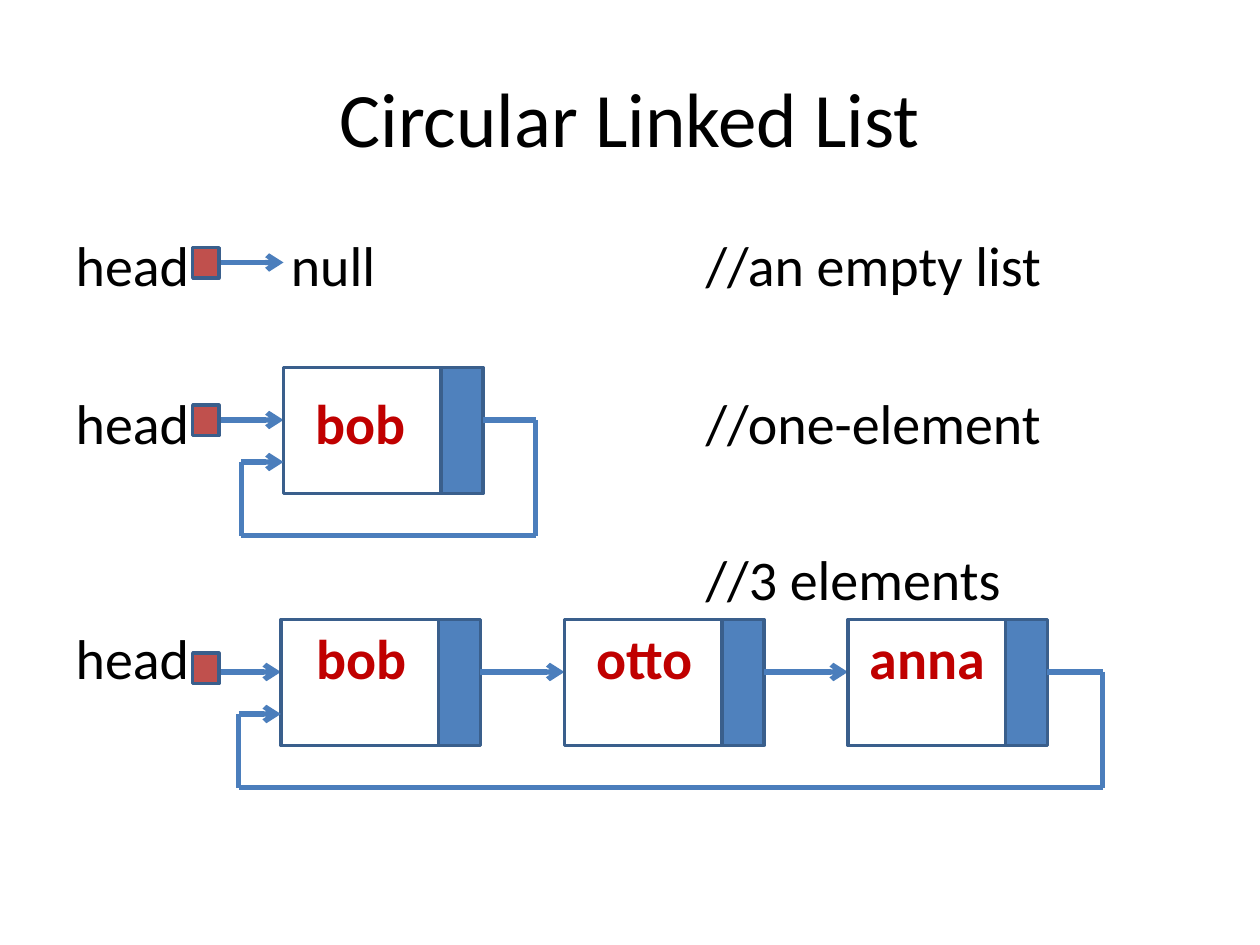
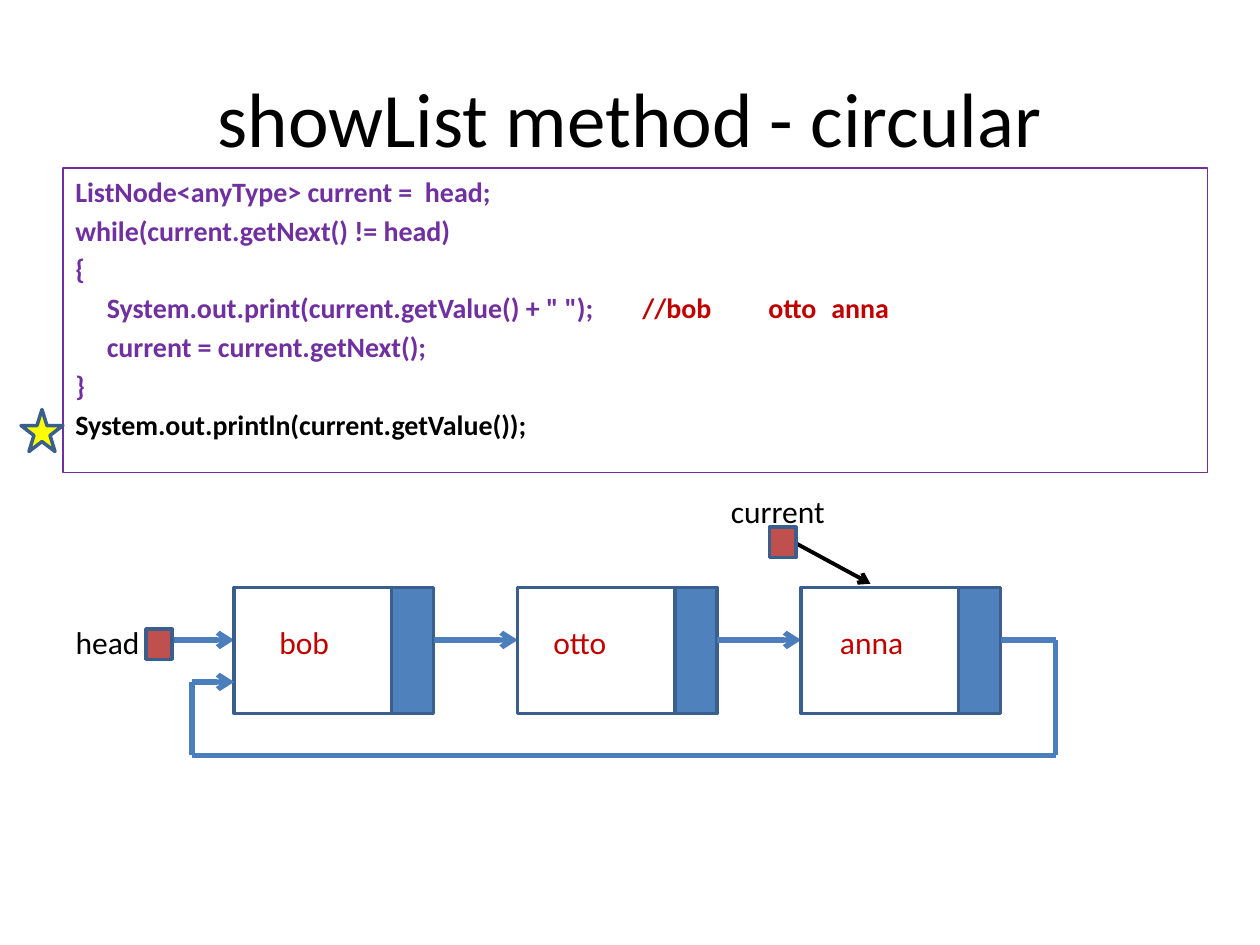
import pptx
import pptx.util
import pptx.dml.color
import pptx.enum.shapes
import pptx.enum.text
import pptx.oxml.xmlchemy

COLORS = {
    "text": "000000", "value": "C00000", "code": "7030A0", "line": "4B7EBC",
    "outline": "3A5F8C", "link": "4F81BD", "pointer": "C0504D", "star": "FFFF00",
}
FONT = "Calibri"
CELL = 1 / 12
COLUMNS, ROWS = 120, 90
NODE_WIDTH, LINK_WIDTH, NODE_HEIGHT, NODE_PITCH = 15, 4, 12, 27
LINK_ROW, RETURN_ROW, LOOP_ROW, LOOP_LEFT = 5, 9, 16, 4
HEAD_ARROW = 8
SHAPES = pptx.enum.shapes.MSO_SHAPE
ALIGN = pptx.enum.text.PP_ALIGN
ANCHOR = pptx.enum.text.MSO_ANCHOR


def cells(count):
    return pptx.util.Inches(count * CELL)


def color(name):
    return pptx.dml.color.RGBColor.from_string(COLORS[name])


def set_values(target, values):
    for name, value in values.items():
        setattr(target, name, value)


def add_element(parent, tag, values):
    element = pptx.oxml.xmlchemy.OxmlElement(tag)
    for name, value in values.items():
        element.set(name, str(value))
    parent.append(element)
    return element


def add_run(paragraph, text, size, ink="text", bold=False):
    run = paragraph.add_run()
    run.text = text
    set_values(run.font, {"name": FONT, "size": pptx.util.Pt(size), "bold": bold})
    run.font.color.rgb = color(ink)


def add_text_box(slide, left, top, width, height, anchor=ANCHOR.MIDDLE):
    text_box = slide.shapes.add_textbox(cells(left), cells(top), cells(width), cells(height))
    set_values(text_box.text_frame, {
        "word_wrap": True, "vertical_anchor": anchor,
        "margin_top": cells(0.6), "margin_bottom": cells(0.6),
    })
    return text_box


def add_title(slide, text):
    paragraph = add_text_box(slide, 6, 3.6, COLUMNS - 12, 15).text_frame.paragraphs[0]
    paragraph.alignment = ALIGN.CENTER
    add_run(paragraph, text, 44)


def add_label(slide, text, left, middle, size, ink="text", bold=False):
    height = size / 4
    width = len(text) * size / 11
    text_box = add_text_box(slide, left, middle - height / 2, width, height)
    set_values(text_box.text_frame, {
        "word_wrap": False, "margin_left": 0, "margin_right": 0,
        "margin_top": 0, "margin_bottom": 0,
    })
    paragraph = text_box.text_frame.paragraphs[0]
    paragraph.alignment = ALIGN.LEFT
    add_run(paragraph, text, size, ink, bold)


def add_block(slide, left, top, width, height, fill=None, kind=SHAPES.RECTANGLE):
    shape = slide.shapes.add_shape(kind, cells(left), cells(top), cells(width), cells(height))
    shape.shadow.inherit = False
    if fill:
        shape.fill.solid()
        shape.fill.fore_color.rgb = color(fill)
    else:
        shape.fill.background()
    shape.line.color.rgb = color("outline")
    shape.line.width = pptx.util.Pt(2)


def add_line(slide, start, end, arrow=False, ink="line", weight=3):
    ends = [cells(value) for value in (*start, *end)]
    connector = slide.shapes.add_connector(pptx.enum.shapes.MSO_CONNECTOR.STRAIGHT, *ends)
    connector.line.color.rgb = color(ink)
    connector.line.width = pptx.util.Pt(weight)
    properties = connector._element.spPr
    if arrow:
        add_element(properties.get_or_add_ln(), "a:tailEnd", {"type": "arrow"})
    add_element(properties, "a:effectLst", {})


def add_pointer(slide, left, top):
    add_block(slide, left, top, 2.5, 2.9, "pointer")


def add_head_arrow(slide, left, row):
    add_line(slide, (left - HEAD_ARROW, row), (left, row), True)


def add_loop(slide, left, top, end, right):
    near = left - LOOP_LEFT
    link, back, bottom = (top + row for row in (LINK_ROW, RETURN_ROW, LOOP_ROW))
    corners = [(end, link), (right, link), (right, bottom), (near, bottom), (near, back), (left, back)]
    for start, finish in zip(corners, corners[1:]):
        add_line(slide, start, finish, finish == corners[-1])


def add_circular_list(slide, left, top, count, overhang):
    row = top + LINK_ROW
    add_head_arrow(slide, left, row)
    for index in range(count):
        node_left = left + index * NODE_PITCH
        link_left = node_left + NODE_WIDTH
        end = link_left + LINK_WIDTH
        add_block(slide, node_left, top, NODE_WIDTH, NODE_HEIGHT)
        add_block(slide, link_left, top, LINK_WIDTH, NODE_HEIGHT, "link")
        if index < count - 1:
            add_line(slide, (end, row), (node_left + NODE_PITCH, row), True)
    add_loop(slide, left, top, end, end + overhang)


def add_code(slide, lines):
    text_box = add_text_box(slide, 6, 16, 109, 29, ANCHOR.TOP)
    text_box.line.color.rgb = color("code")
    text_box.line.width = pptx.util.Pt(0.75)
    frame = text_box.text_frame
    for index, (indent, runs) in enumerate(lines):
        paragraph = frame.add_paragraph() if index else frame.paragraphs[0]
        paragraph.space_before = pptx.util.Pt(3 if index else 0)
        properties = paragraph._p.get_or_add_pPr()
        properties.set("marL", "0")
        properties.set("indent", str(cells(indent)))
        if any("\t" in text for text, ink in runs):
            tabs = add_element(properties, "a:tabLst", {})
            for column in (60, 72, 84):
                add_element(tabs, "a:tab", {"pos": cells(column), "algn": "l"})
        for text, ink in runs:
            add_run(paragraph, text, 16, ink, True)


def build_list_slide(slide):
    add_title(slide, "Circular Linked List")
    empty_row, single_row, comment_row, triple_row = 25.2, 40.2, 55.1, 62.6
    for row in (empty_row, single_row, triple_row):
        add_label(slide, "head", 7.2, row, 32)
    add_label(slide, "null", 27.7, empty_row, 32)
    for text, row in (("//an empty list", empty_row), ("//one-element", single_row),
                      ("//3 elements", comment_row)):
        add_label(slide, text, 67.2, row, 32)
    for text, left, row in (("bob", 30, single_row), ("bob", 30.1, triple_row),
                            ("otto", 56.8, triple_row), ("anna", 82.8, triple_row)):
        add_label(slide, text, left, row, 32, "value", True)
    add_head_arrow(slide, 27, 25)
    add_circular_list(slide, 27, 35, 1, 5)
    add_circular_list(slide, 26.75, 59, 3, 5.25)
    for top in (23.6, 38.6, 62.2):
        add_pointer(slide, 18.35, top)


def build_method_slide(slide):
    add_title(slide, "showList method - circular")
    add_code(slide, [
        (0, [("ListNode<anyType> current =  head;", "code")]),
        (0, [("while(current.getNext() != head)", "code")]),
        (0, [("{", "code")]),
        (3, [("System.out.print(current.getValue() + \" \");\t", "code"),
             ("//bob\totto\tanna", "value")]),
        (3, [("current = current.getNext();", "code")]),
        (0, [("}", "code")]),
        (0, [("System.out.println(current.getValue());", "text")]),
    ])
    add_circular_list(slide, 22.3, 55.95, 3, 5.25)
    add_label(slide, "head", 7.2, 61.1, 18)
    for text, left in (("bob", 26.6), ("otto", 52.7), ("anna", 80)):
        add_label(slide, text, left, 61.1, 18, "value")
    add_block(slide, 2, 39, 4, 4, "star", SHAPES.STAR_5_POINT)
    add_label(slide, "current", 69.6, 48.7, 18)
    add_line(slide, (74.8, 51.2), (82.9, 55.6), True, "text", 2.25)
    add_pointer(slide, 73.3, 50.2)
    add_pointer(slide, 13.9, 59.9)


def main():
    presentation = pptx.Presentation()
    set_values(presentation, {"slide_width": cells(COLUMNS), "slide_height": cells(ROWS)})
    for build in (build_list_slide, build_method_slide):
        build(presentation.slides.add_slide(presentation.slide_layouts[6]))
    presentation.save("out.pptx")


main()
